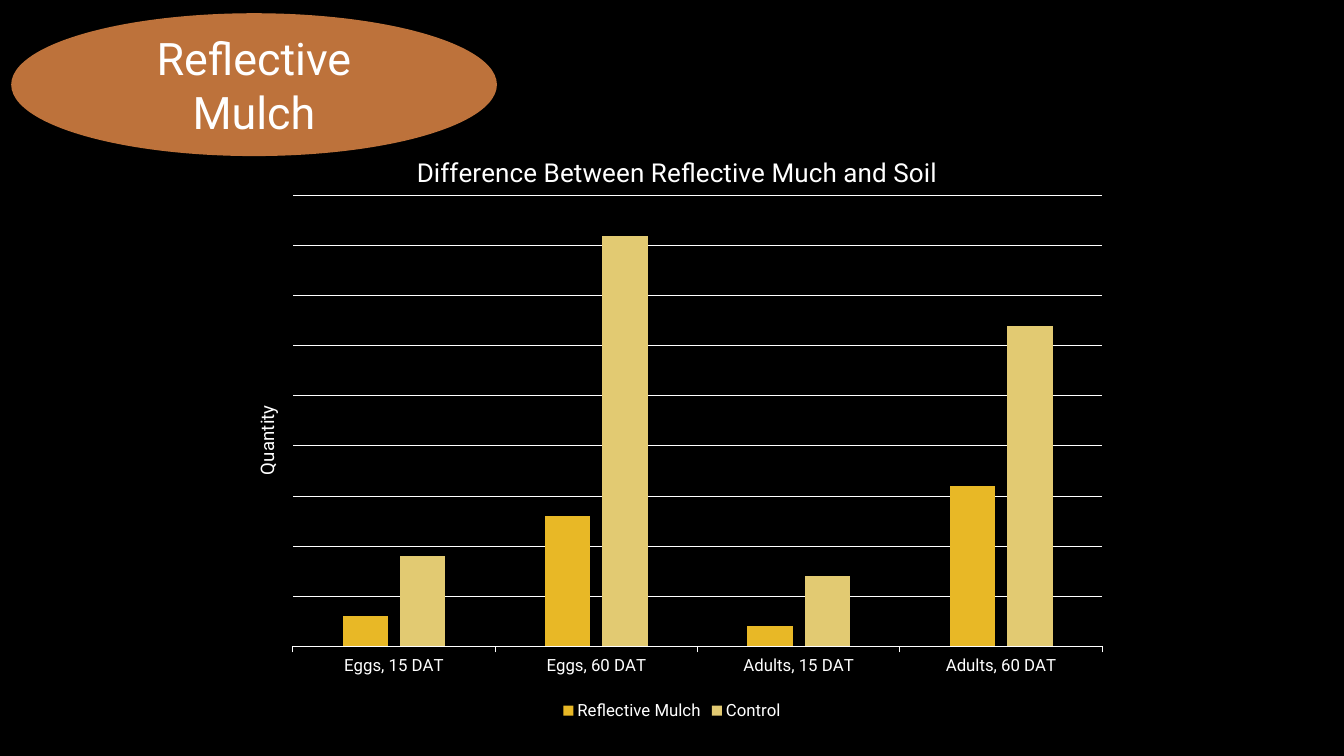
from pptx import Presentation
from pptx import util as u
from pptx.chart.data import CategoryChartData
from pptx.dml.color import RGBColor
from pptx.enum import chart as charts, shapes, text
from pptx.oxml import ns, xmlchemy

COLORS = {
    "background": "000000",
    "oval": "BD723B",
    "text": "FFFFFF",
    "mulch": "E8B826",
    "control": "E2CA72",
}
FONT = "Roboto"
CATEGORIES = ["Eggs, 15 DAT", "Eggs, 60 DAT", "Adults, 15 DAT", "Adults, 60 DAT"]
SERIES = [
    ("Reflective Mulch", [3, 13, 2, 16], "mulch"),
    ("Control", [9, 41, 7, 32], "control"),
]


def color(name):
    return RGBColor.from_string(COLORS[name])


def style_font(font, size):
    font.name = FONT
    font.size = u.Pt(size)
    font.bold = False
    font.color.rgb = color("text")


def style_line(line, name, width):
    line.color.rgb = color(name)
    line.width = u.Pt(width)


def place(element, **settings):
    """Give a chart part a manual layout, in fractions of the chart."""
    layout = element.find(ns.qn("c:layout"))
    if layout is None:
        layout = xmlchemy.OxmlElement("c:layout")
        element.insert(0 if element.find(ns.qn("c:tx")) is None else 1, layout)
    manual = xmlchemy.OxmlElement("c:manualLayout")
    layout.append(manual)
    for tag, value in settings.items():
        setting = xmlchemy.OxmlElement(f"c:{tag}")
        setting.set("val", str(value))
        manual.append(setting)


def add_title(titled, words, size, x, y):
    """Title a chart or an axis at the given place."""
    title = titled.chart_title if hasattr(titled, "chart_title") else titled.axis_title
    title.text_frame.text = words
    style_font(title.text_frame.paragraphs[0].runs[0].font, size)
    place(title._element, xMode="edge", yMode="edge", x=x, y=y)
    return title


def add_oval(slide, words):
    oval = slide.shapes.add_shape(
        shapes.MSO_SHAPE.OVAL, u.Inches(0.12), u.Inches(0.14), u.Inches(4.8), u.Inches(1.4))
    oval.shadow.inherit = False
    oval.fill.solid()
    oval.fill.fore_color.rgb = color("oval")
    style_line(oval.line, "oval", 1.25)
    frame = oval.text_frame
    frame.text = words
    frame.word_wrap = True
    frame.vertical_anchor = text.MSO_ANCHOR.MIDDLE
    paragraph = frame.paragraphs[0]
    paragraph.alignment = text.PP_ALIGN.CENTER
    style_font(paragraph.runs[0].font, 32)


def style_axes(chart):
    category_axis = chart.category_axis
    category_axis.major_tick_mark = charts.XL_TICK_MARK.OUTSIDE
    category_axis.has_major_gridlines = False
    style_font(category_axis.tick_labels.font, 12)
    style_line(category_axis.format.line, "text", 0.75)

    value_axis = chart.value_axis
    value_axis.minimum_scale, value_axis.maximum_scale = 0, 45
    value_axis.major_unit = 5
    value_axis.has_major_gridlines = True
    style_line(value_axis.major_gridlines.format.line, "text", 0.75)
    title = add_title(value_axis, "Quantity", 13.3, 0.03, 0.46)
    properties = title.text_frame._txBody.bodyPr
    properties.set("rot", "-5400000")
    properties.set("vert", "horz")
    value_axis.visible = False


def add_column_chart(slide):
    data = CategoryChartData()
    data.categories = CATEGORIES
    for name, values, _ in SERIES:
        data.add_series(name, values)
    chart = slide.shapes.add_chart(
        charts.XL_CHART_TYPE.COLUMN_CLUSTERED, u.Inches(2.22), u.Inches(1.26),
        u.Inches(8.89), u.Inches(5.93), data).chart
    style_font(chart.font, 10)
    add_title(chart, "Difference Between Reflective Much and Soil", 18.6, 0.21, 0.04)
    style_axes(chart)

    # Columns
    plot = chart.plots[0]
    plot.gap_width = 219
    plot.overlap = -27
    plot.vary_by_categories = False
    for series, (_, _, color_name) in zip(plot.series, SERIES):
        series.format.fill.solid()
        series.format.fill.fore_color.rgb = color(color_name)
    place(chart._chartSpace.chart.plotArea, layoutTarget="inner", xMode="edge",
          yMode="edge", x=0.077, y=0.115, w=0.903, h=0.754)

    # Legend
    chart.has_legend = True
    chart.legend.position = charts.XL_LEGEND_POSITION.BOTTOM
    chart.legend.include_in_layout = False
    style_font(chart.legend.font, 12)


def main():
    presentation = Presentation()
    presentation.slide_width = u.Inches(13.33)
    presentation.slide_height = u.Inches(7.5)
    slide = presentation.slides.add_slide(presentation.slide_layouts[6])
    slide.background.fill.solid()
    slide.background.fill.fore_color.rgb = color("background")

    add_oval(slide, "Reflective Mulch")
    add_column_chart(slide)
    presentation.save("out.pptx")


if __name__ == "__main__":
    main()
